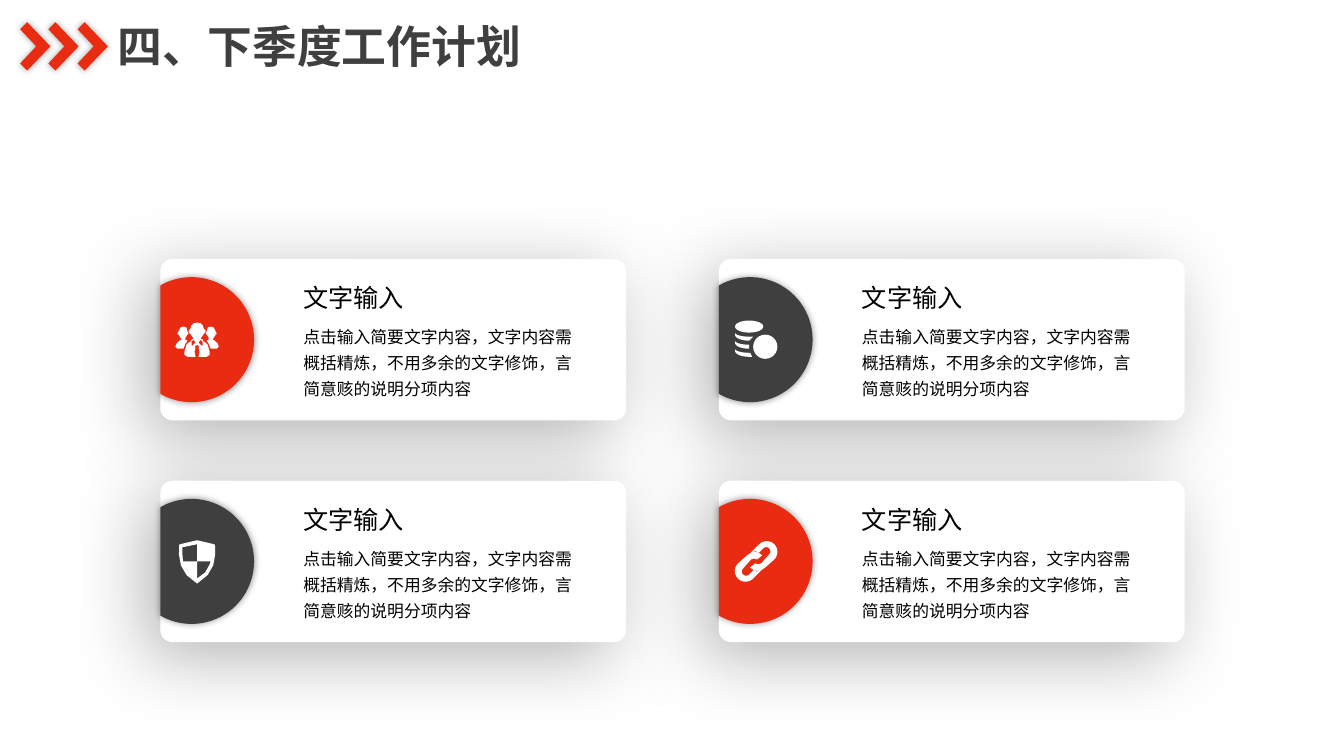
from dataclasses import dataclass
from math import cos, radians, sin
from typing import Optional

from lxml.etree import SubElement
from pptx import Presentation
from pptx.dml.color import RGBColor
from pptx.enum.shapes import MSO_SHAPE
from pptx.enum.text import MSO_AUTO_SIZE
from pptx.oxml import parse_xml
from pptx.oxml.ns import nsdecls, qn
from pptx.util import Inches, Pt

Point = tuple[float, float]
Contour = list[Point]


@dataclass(frozen=True)
class Theme:
    """Colours, font and type sizes of the slide."""
    red: str = "E82B11"
    gray: str = "3F3F3F"
    white: str = "FFFFFF"
    black: str = "000000"
    fade: str = "595959"
    font: str = "Noto Sans CJK SC"
    title: int = 32
    heading: int = 18
    body: int = 12


@dataclass(frozen=True)
class Shadow:
    """Outer shadow with opacity in percent, lengths in points and angle in degrees."""
    opacity: int
    blur: int
    distance: int
    angle: int


@dataclass(frozen=True)
class TextBox:
    """Wording, place and style of a text box; two colours make a gradient."""
    text: str
    left: float
    top: float
    width: float
    height: float
    size: int
    colors: tuple[str, ...]
    bold: bool = False
    wrap: bool = True
    line_spacing: Optional[float] = None


@dataclass(frozen=True)
class Card:
    """Grid cell, disc colour and icon contours of a card."""
    column: int
    row: int
    color: str
    icon: list[Contour]


THEME = Theme()
SOFT_SHADOW = Shadow(40, 5, 0, 0)
CARD_SHADOW = Shadow(30, 55, 15, 135)
CARD_LEFT, CARD_TOP, COLUMN_PITCH, ROW_PITCH = 1.59, 2.57, 5.54, 2.2
CARD_WIDTH, CARD_HEIGHT = 4.62, 1.6
TITLE = TextBox("四、下季度工作计划", 1.07, 0.14, 4.24, 0.64, THEME.title,
                (THEME.gray,), bold=True, wrap=False)
BODY = TextBox("点击输入简要文字内容，文字内容需概括精炼，不用多余的文字修饰，言简意赅的说明分项内容",
               1.32, 0.56, 3.02, 0.89, THEME.body, (THEME.black,), line_spacing=1.3)
HEADING = TextBox("文字输入", 1.32, 0.18, 3.3, 0.4, THEME.heading,
                  (THEME.black, THEME.fade))
CHEVRON = [(0, 7), (7, 0), (30, 24), (7, 48), (0, 41), (16, 24)]
CHEVRON_LEFTS = (0.2, 0.48, 0.77)
CHEVRON_TOP = 0.22


def arc(x: float, y: float, radius_x: float, radius_y: float,
        start: float, end: float, steps: int = 24) -> Contour:
    """Return points along an elliptical arc, with angles in degrees."""
    angles = [radians(start + (end - start) * step / steps) for step in range(steps + 1)]
    return [(x + radius_x * cos(angle), y + radius_y * sin(angle)) for angle in angles]


def mirror(contour: Contour) -> Contour:
    """Reflect a contour across the vertical axis of the icon."""
    return [(73 - x, y) for x, y in reversed(contour)]


def people_icon() -> list[Contour]:
    """Return a team of three people."""
    leader = [(36.5, 63), (40, 63.8), (42.3, 66), (43, 69), (45, 71), (44.5, 73),
              (43, 74.5), (42, 76), (40.5, 78), (40, 79), (42, 80), (43, 82), (45, 83),
              (47, 85), (49, 92), (49, 95), (46, 97), (38, 97), (39, 92), (38, 88),
              (39, 87), (36.5, 85)]
    collar = [(40, 80), (38, 83), (41, 86), (42, 86), (42, 82)]
    member = [(50, 67), (53, 68), (55, 72), (56, 74), (55, 75), (53, 78), (52, 80),
              (54, 81), (57, 84), (58, 87), (56, 89), (50, 89), (48, 84), (46, 81),
              (48, 80), (48, 78), (46, 75), (45, 74), (46, 72), (47, 68)]
    return [leader + mirror(leader), collar, mirror(collar), member, mirror(member)]


def coins_icon() -> list[Contour]:
    """Return a stack of coins with one coin in front."""
    ends = {73: [(34, 77)], 81: [(30, 87)], 89: [(31, 93), (33, 97)]}
    bands = [arc(30, y, 14, 4, 180, 90) + end + arc(30, y + 2, 14, 6, 90, 180)
             for y, end in ends.items()]
    return [arc(30, 67, 14, 6, 0, 360), *bands, arc(46, 87, 12, 12, 0, 360)]


def shield_icon() -> list[Contour]:
    """Return a quartered shield."""
    half = [(36.5, 59), (53.5, 63), (54.3, 64), (54.5, 73), (52.5, 84), (47, 93.5),
            (36.5, 102)]
    upper = [(36.5, 80), (22.5, 80), (22, 73), (22, 66), (36.5, 63)]
    lower = [(36.5, 80), (50, 80), (49, 83), (44.5, 91), (36.5, 97)]
    return [half + mirror(half), upper, lower]


def link_icon() -> list[Contour]:
    """Return two chain links, one a half turn of the other."""
    link = [(35, 89), (31, 86), (36, 82), (39, 82.8), (42, 82),
            *arc(47, 70, 4.2, 4.2, 45, -135), (40, 71), (36, 70), (32, 71),
            *arc(47.5, 70.5, 10.6, 10.6, 225, 405), (46, 86), (41, 89.5)]
    return [link, [(74 - x, 160 - y) for x, y in link]]


def style_shape(shape, color: str, shadow: Optional[Shadow] = None) -> None:
    """Give a shape a plain fill, no line and an optional shadow."""
    shape.fill.solid()
    shape.fill.fore_color.rgb = RGBColor.from_string(color)
    shape.line.fill.background()
    shape.shadow.inherit = False
    if shadow:
        shape.element.spPr.find(qn("a:effectLst")).append(parse_xml(
            f'<a:outerShdw {nsdecls("a")} blurRad="{Pt(shadow.blur)}" '
            f'dist="{Pt(shadow.distance)}" dir="{shadow.angle * 60000}" '
            f'algn="ctr" rotWithShape="0"><a:srgbClr val="{THEME.black}">'
            f'<a:alpha val="{shadow.opacity * 1000}"/></a:srgbClr></a:outerShdw>'))


def draw_outline(shapes, contours: list[Contour], left: float, top: float,
                 color: str, shadow: Optional[Shadow] = None) -> None:
    """Draw closed contours given in hundredths of an inch from a corner."""
    scaled = [[(Inches(x / 100), Inches(y / 100)) for x, y in contour]
              for contour in contours]
    builder = shapes.build_freeform(*scaled[0][0])
    for index, contour in enumerate(scaled):
        if index:
            builder.move_to(*contour[0])
        builder.add_line_segments(contour[1:], close=True)
    style_shape(builder.convert_to_shape(Inches(left), Inches(top)), color, shadow)


def add_text(shapes, box: TextBox, left: float = 0, top: float = 0) -> None:
    """Add a one-run text box offset from a corner."""
    shape = shapes.add_textbox(Inches(left + box.left), Inches(top + box.top),
                               Inches(box.width), Inches(box.height))
    frame = shape.text_frame
    frame.word_wrap = box.wrap
    frame.auto_size = MSO_AUTO_SIZE.SHAPE_TO_FIT_TEXT
    paragraph = frame.paragraphs[0]
    paragraph.line_spacing = box.line_spacing
    run = paragraph.add_run()
    run.text = box.text
    font = run.font
    font.size, font.bold, font.name = Pt(box.size), box.bold, THEME.font
    if len(box.colors) == 1:
        font.color.rgb = RGBColor.from_string(box.colors[0])
    else:
        font.fill.gradient()
        font.fill.gradient_angle = 270
        for stop, color in zip(font.fill.gradient_stops, box.colors):
            stop.color.rgb = RGBColor.from_string(color)
    SubElement(run._r.get_or_add_rPr(), qn("a:ea"), typeface=THEME.font)


def draw_card(slide, card: Card) -> None:
    """Draw one card as a group."""
    left = CARD_LEFT + card.column * COLUMN_PITCH
    top = CARD_TOP + card.row * ROW_PITCH
    shapes = slide.shapes.add_group_shape().shapes
    panel = shapes.add_shape(MSO_SHAPE.ROUNDED_RECTANGLE, Inches(left), Inches(top),
                             Inches(CARD_WIDTH), Inches(CARD_HEIGHT))
    panel.adjustments[0] = 0.075
    style_shape(panel, THEME.white, CARD_SHADOW)
    disc = arc(31, 80, 62, 62, -120, 120, 80)
    draw_outline(shapes, [disc], left, top, card.color, SOFT_SHADOW)
    draw_outline(shapes, card.icon, left, top, THEME.white)
    for box in (BODY, HEADING):
        add_text(shapes, box, left, top)


def main() -> None:
    """Build the slide and save it."""
    presentation = Presentation()
    presentation.slide_width, presentation.slide_height = Inches(13.33), Inches(7.5)
    slide = presentation.slides.add_slide(presentation.slide_layouts[6])
    add_text(slide.shapes, TITLE)
    for left in CHEVRON_LEFTS:
        draw_outline(slide.shapes, [CHEVRON], left, CHEVRON_TOP, THEME.red, SOFT_SHADOW)
    for card in (Card(0, 0, THEME.red, people_icon()), Card(0, 1, THEME.gray, shield_icon()),
                 Card(1, 0, THEME.gray, coins_icon()), Card(1, 1, THEME.red, link_icon())):
        draw_card(slide, card)
    presentation.save("out.pptx")


if __name__ == "__main__":
    main()
